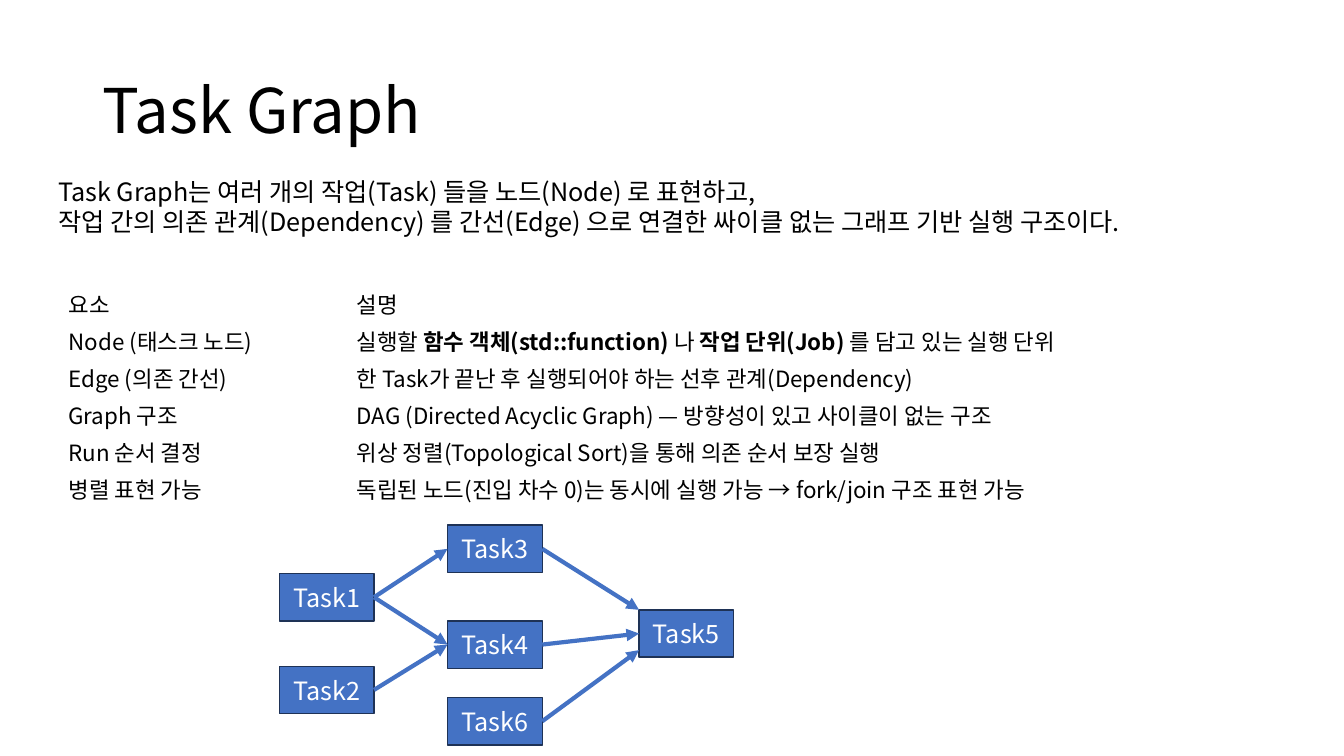
"""Build the Task Graph slide: definition, element table and dependency diagram."""
from dataclasses import dataclass

from lxml import etree
from pptx import Presentation, util as u
from pptx.dml.color import RGBColor
from pptx.enum import shapes, text
from pptx.oxml.ns import qn


@dataclass(frozen=True)
class Theme:
    """Colours, font, type sizes and line widths."""
    font: str = "Noto Sans CJK KR"
    ink: str = "000000"
    paper: str = "FFFFFF"
    accent: str = "4472C4"
    edge: str = "1E3256"
    title: int = 44
    body: int = 18
    table: int = 16
    arrow: int = 3
    outline: int = 1


THEME = Theme()
WIDTH, HEIGHT = u.Inches(13.333), u.Inches(7.5)
NODE_W, NODE_H = 7.05, 6.27
COLUMNS = (20.78, 33.3, 47.55)

INTRO = ("Task Graph는 여러 개의 작업(Task) 들을 노드(Node) 로 표현하고,\n"
         "작업 간의 의존 관계(Dependency) 를 간선(Edge) 으로 연결한 싸이클 없는 그래프 기반 실행 구조이다.")
ELEMENTS = (
    ("요소", "설명"),
    ("Node (태스크 노드)",
     "실행할 **함수 객체(std::function)** 나 **작업 단위(Job) **를 담고 있는 실행 단위"),
    ("Edge (의존 간선)", "한 Task가 끝난 후 실행되어야 하는 선후 관계(Dependency)"),
    ("Graph 구조", "DAG (Directed Acyclic Graph) — 방향성이 있고 사이클이 없는 구조"),
    ("Run 순서 결정", "위상 정렬(Topological Sort)을 통해 의존 순서 보장 실행"),
    ("병렬 표현 가능", "독립된 노드(진입 차수 0)는 동시에 실행 가능 → fork/join 구조 표현 가능"),
)
TASKS = {
    "Task1": (COLUMNS[0], 75.87),
    "Task2": (COLUMNS[0], 88.13),
    "Task3": (COLUMNS[1], 69.47),
    "Task4": (COLUMNS[1], 82.13),
    "Task6": (COLUMNS[1], 92.27),
    "Task5": (COLUMNS[2], 80.67),
}
DEPENDENCIES = (
    ("Task1", "Task3", 0.5),
    ("Task1", "Task4", 0.5),
    ("Task2", "Task4", 0.5),
    ("Task3", "Task5", 0),
    ("Task4", "Task5", 0.5),
    ("Task6", "Task5", 0.85),
)


def across(percent):
    """Turn a percentage of the slide width into a length."""
    return u.Emu(round(WIDTH * percent / 100))


def down(percent):
    """Turn a percentage of the slide height into a length."""
    return u.Emu(round(HEIGHT * percent / 100))


def area(left, top, width, height):
    """Turn percentages into a position and size."""
    return across(left), down(top), across(width), down(height)


def colour(name):
    """Look up a theme colour."""
    return RGBColor.from_string(getattr(THEME, name))


def style(para, size, ink="ink", bold=False):
    """Format every run of a paragraph."""
    for span in para.runs:
        span.font.name = THEME.font
        span.font.size = u.Pt(size)
        span.font.bold = bold
        span.font.color.rgb = colour(ink)
        asian = etree.SubElement(span.font._element, qn("a:ea"))
        asian.set("typeface", THEME.font)


def set_title(page, wording):
    """Place and format the title placeholder."""
    title = page.shapes.title
    title.left, title.top, title.width, title.height = area(6.9, 5.33, 86.25, 19.33)
    frame = title.text_frame
    frame.text = wording
    frame.auto_size = text.MSO_AUTO_SIZE.NONE
    frame.vertical_anchor = text.MSO_ANCHOR.MIDDLE
    para = frame.paragraphs[0]
    para.alignment = text.PP_ALIGN.LEFT
    para.line_spacing = 0.9
    style(para, THEME.title)


def add_intro(page, wording):
    """Add the definition under the title."""
    box = page.shapes.add_textbox(*area(3.6, 22.67, 87.83, 9.47))
    frame = box.text_frame
    frame.word_wrap = False
    frame.auto_size = text.MSO_AUTO_SIZE.SHAPE_TO_FIT_TEXT
    para = frame.paragraphs[0]
    para.text = wording
    style(para, THEME.body)


def fill_cell(cell, wording):
    """Write a cell, with text between double asterisks in bold."""
    cell.fill.background()
    cell.vertical_anchor = text.MSO_ANCHOR.MIDDLE
    para = cell.text_frame.paragraphs[0]
    parts = wording.split("**")
    for part in parts:
        para.add_run().text = part
    style(para, THEME.table)
    for span in para.runs[1::2]:
        span.font.bold = True


def add_elements(page, rows, widths):
    """Add the plain table of graph elements."""
    place = area(4.35, 37.33, sum(widths), 29.33)
    table = page.shapes.add_table(len(rows), len(widths), *place).table
    table.first_row = table.horz_banding = False
    for column, width in zip(table.columns, widths):
        column.width = across(width)
    for row, wordings in zip(table.rows, rows):
        for cell, wording in zip(row.cells, wordings):
            fill_cell(cell, wording)


def add_task(page, name):
    """Add one task node."""
    left, top = TASKS[name]
    node = page.shapes.add_shape(shapes.MSO_SHAPE.RECTANGLE,
                                 *area(left, top, NODE_W, NODE_H))
    node.shadow.inherit = False
    node.fill.solid()
    node.fill.fore_color.rgb = colour("accent")
    node.line.color.rgb = colour("edge")
    node.line.width = u.Pt(THEME.outline)
    frame = node.text_frame
    frame.text = name
    frame.vertical_anchor = text.MSO_ANCHOR.MIDDLE
    para = frame.paragraphs[0]
    para.alignment = text.PP_ALIGN.CENTER
    style(para, THEME.body, "paper")


def add_dependency(page, source, target, share):
    """Add an arrow to a target's left side, at a share of its height."""
    (left, top), (end, target_top) = TASKS[source], TASKS[target]
    arrow = page.shapes.add_connector(
        shapes.MSO_CONNECTOR.STRAIGHT,
        across(left + NODE_W), down(top + NODE_H / 2),
        across(end), down(target_top + NODE_H * share))
    arrow.line.color.rgb = colour("accent")
    arrow.line.width = u.Pt(THEME.arrow)
    etree.SubElement(arrow.line._get_or_add_ln(), qn("a:tailEnd"), type="triangle")
    etree.SubElement(arrow._element.spPr, qn("a:effectLst"))


def main():
    """Build and save the deck."""
    deck = Presentation()
    deck.slide_width, deck.slide_height = WIDTH, HEIGHT
    page = deck.slides.add_slide(deck.slide_layouts[5])
    set_title(page, "Task Graph")
    add_intro(page, INTRO)
    add_elements(page, ELEMENTS, (21.45, 64.8))
    for name in TASKS:
        add_task(page, name)
    for dependency in DEPENDENCIES:
        add_dependency(page, *dependency)
    deck.save("out.pptx")


if __name__ == "__main__":
    main()
